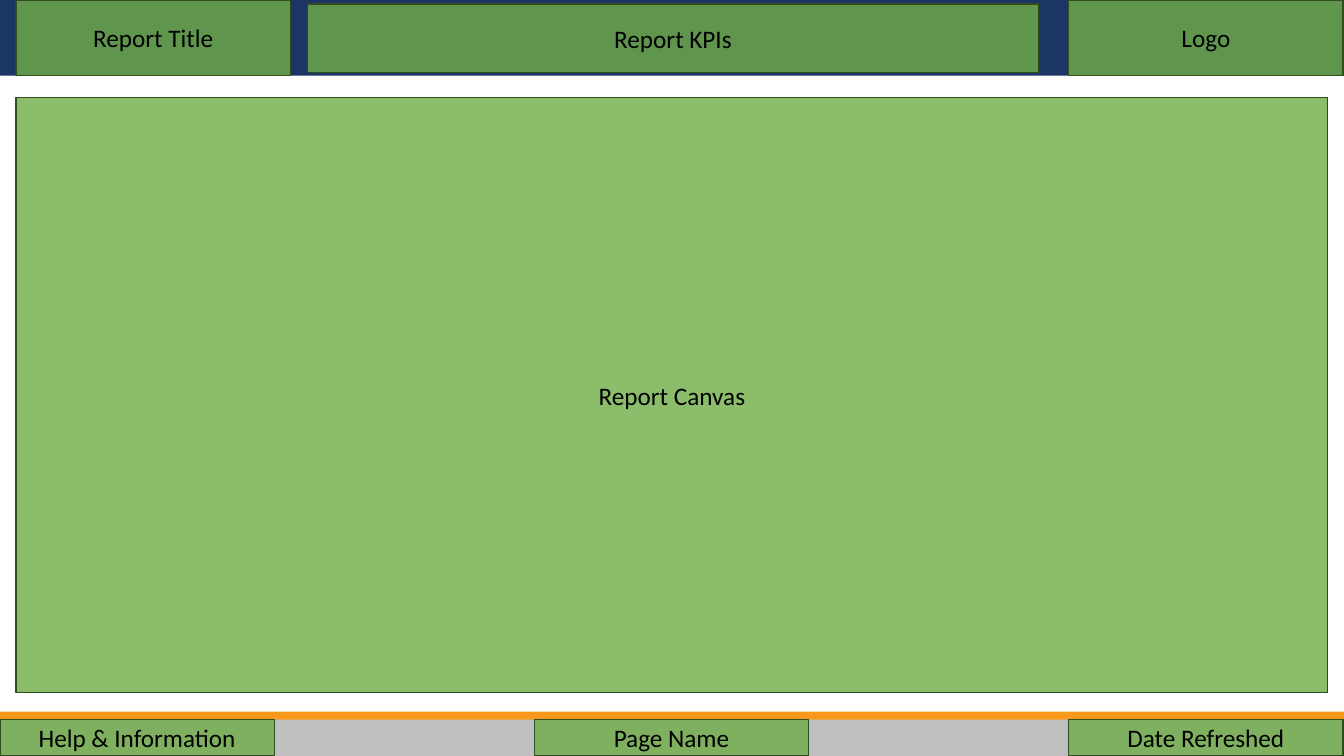
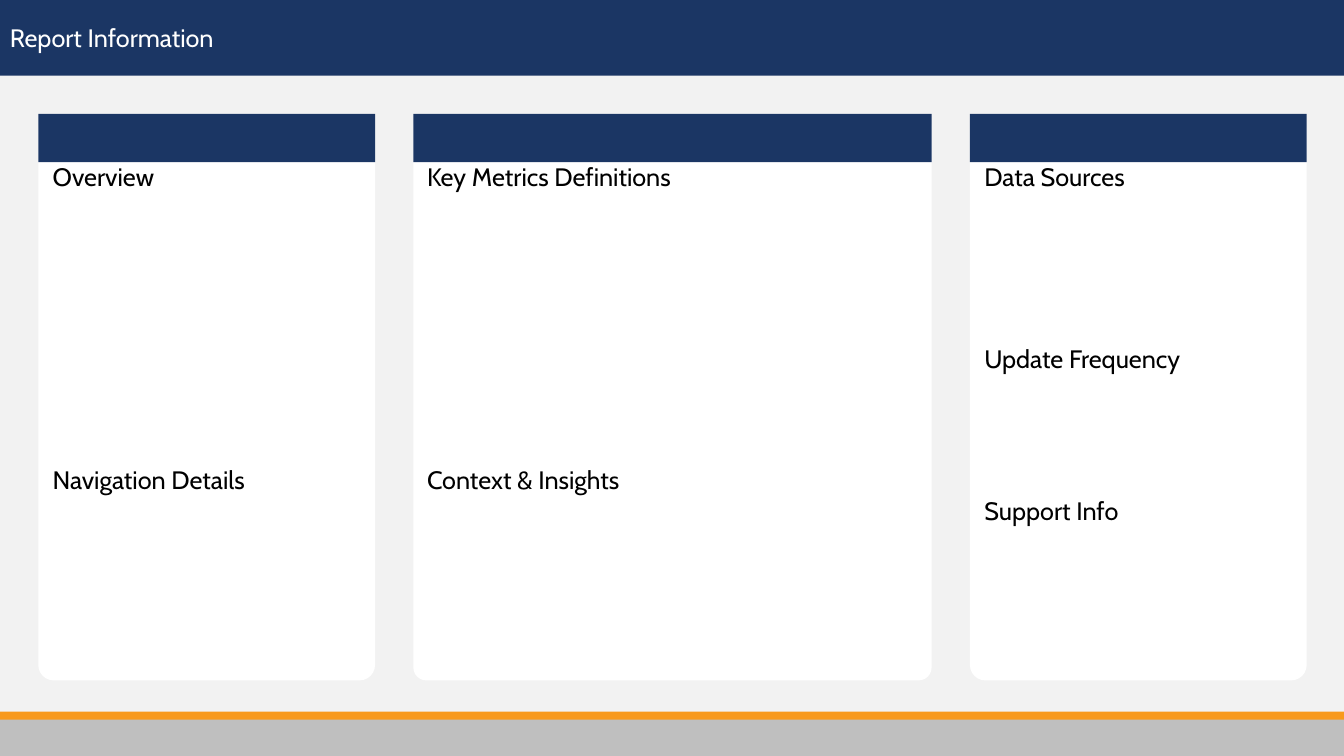
from typing import NamedTuple

from lxml import etree
from pptx import Presentation
from pptx import util as u
from pptx.dml.color import RGBColor
from pptx.enum import shapes, text
from pptx.oxml.ns import qn

WIDTH, HEIGHT = 13.33, 7.5
HEADER_HEIGHT = 0.75
FOOTER_HEIGHT = 0.36
FOOTER_TOP = HEIGHT - FOOTER_HEIGHT
STRIPE_TOP = FOOTER_TOP - 0.08

NAVY, ORANGE, GREY = "1B3664", "F8991C", "BFBFBF"
PALE, WHITE, BLACK = "F2F2F2", "FFFFFF", "000000"
GREEN, DARK_GREEN = "70AD47", "314C1F"

TEXT_SIZE = 18
LINE_POINTS = 21.65  # height of one line of 18 pt Cabin

ZONE_WIDTH = 2.72
ZONE_MARGIN = 0.16
ZONE_RIGHT = 10.6

CARD_GAP = 0.38
CARD_TOP, CARD_HEIGHT = 1.13, 5.62
CARD_BAND_HEIGHT = 0.48


class Area(NamedTuple):
    left: float
    top: float
    width: float
    height: float


class Zone(NamedTuple):
    label: str
    area: Area


class Heading(NamedTuple):
    label: str
    lines_above: int = 0


class Card(NamedTuple):
    width: float
    corner: float
    headings: list[Heading]


HEADER = Area(0, 0, WIDTH, HEADER_HEIGHT)

ZONES = [
    Zone("Report Title", Area(ZONE_MARGIN, 0, ZONE_WIDTH, HEADER_HEIGHT)),
    Zone("Logo", Area(ZONE_RIGHT, 0, ZONE_WIDTH, HEADER_HEIGHT)),
    Zone("Page Name", Area(5.3, FOOTER_TOP, ZONE_WIDTH, FOOTER_HEIGHT)),
    Zone("Date Refreshed", Area(ZONE_RIGHT, FOOTER_TOP, ZONE_WIDTH, FOOTER_HEIGHT)),
    Zone("Help & Information", Area(0, FOOTER_TOP, ZONE_WIDTH, FOOTER_HEIGHT)),
    Zone("Report Canvas", Area(ZONE_MARGIN, 0.97, WIDTH - 2 * ZONE_MARGIN, 5.9)),
    Zone("Report KPIs", Area(3.05, 0.04, 7.25, 0.68)),
]

CARDS = [
    Card(3.34, 0.046, [Heading("Overview"), Heading("Navigation Details", 9)]),
    Card(5.14, 0.025, [Heading("Key Metrics Definitions"), Heading("Context & Insights", 9)]),
    Card(3.34, 0.046, [Heading("Data Sources"), Heading("Update Frequency", 5),
                       Heading("Support Info", 4)]),
]


def paint(target, color: str) -> None:
    """Give a fill or a line a solid colour."""
    fill = getattr(target, "fill", target)
    fill.solid()
    fill.fore_color.rgb = RGBColor.from_string(color)


def add_box(parent, area: Area, color: str, *, opacity: int = 100, outline: str | None = None,
            corner: float = 0):
    kind = shapes.MSO_SHAPE.ROUNDED_RECTANGLE if corner else shapes.MSO_SHAPE.RECTANGLE
    box = parent.shapes.add_shape(kind, *(u.Inches(length) for length in area))
    box.shadow.inherit = False
    if corner:
        box.adjustments[0] = corner
    paint(box.fill, color)
    if opacity < 100:
        color_element = box.fill._xPr.find(".//" + qn("a:srgbClr"))
        etree.SubElement(color_element, qn("a:alpha"), val=str(opacity * 1000))
    if outline:
        paint(box.line, outline)
        box.line.width = u.Pt(1)
    else:
        box.line.fill.background()
    return box


def write(box, headings: list[Heading], *, font: str, color: str = BLACK,
          align=text.PP_ALIGN.LEFT, anchor=text.MSO_ANCHOR.MIDDLE, inset_top: float = 0.05) -> None:
    frame = box.text_frame
    frame.word_wrap = True
    frame.vertical_anchor = anchor
    frame.margin_top = u.Inches(inset_top)
    for index, heading in enumerate(headings):
        para = frame.add_paragraph() if index else frame.paragraphs[0]
        para.alignment = align
        if heading.lines_above:
            para.space_before = u.Pt(heading.lines_above * LINE_POINTS)
        span = para.add_run()
        span.text = heading.label
        span.font.name = font
        span.font.size = u.Pt(TEXT_SIZE)
        span.font.color.rgb = RGBColor.from_string(color)


def add_bands(page):
    """Draw the header and footer bands and return the header."""
    add_box(page, Area(0, STRIPE_TOP, WIDTH, FOOTER_HEIGHT), ORANGE)
    header = add_box(page, HEADER, NAVY)
    add_box(page, Area(0, FOOTER_TOP, WIDTH, FOOTER_HEIGHT), GREY)
    return header


def add_card(page, card: Card, left: float) -> None:
    group = page.shapes.add_group_shape()
    panel = add_box(group, Area(left, CARD_TOP, card.width, CARD_HEIGHT), WHITE,
                    corner=card.corner)
    write(panel, card.headings, font="Cabin", anchor=text.MSO_ANCHOR.TOP, inset_top=0.43)
    add_box(group, Area(left, CARD_TOP, card.width, CARD_BAND_HEIGHT), NAVY)


def build_layout_page(page) -> None:
    add_bands(page)
    for zone in ZONES:
        box = add_box(page, zone.area, GREEN, opacity=80, outline=DARK_GREEN)
        write(box, [Heading(zone.label)], font="Calibri", align=text.PP_ALIGN.CENTER)


def build_information_page(page) -> None:
    add_box(page, Area(0, 0, WIDTH, HEIGHT), PALE)
    header = add_bands(page)
    write(header, [Heading("Report Information")], font="Cabin", color=WHITE)
    left = CARD_GAP
    for card in CARDS:
        add_card(page, card, left)
        left += card.width + CARD_GAP


def main() -> None:
    deck = Presentation()
    deck.slide_width, deck.slide_height = u.Inches(WIDTH), u.Inches(HEIGHT)
    blank = deck.slide_layouts[6]
    for build in (build_layout_page, build_information_page):
        build(deck.slides.add_slide(blank))
    deck.save("out.pptx")


if __name__ == "__main__":
    main()
